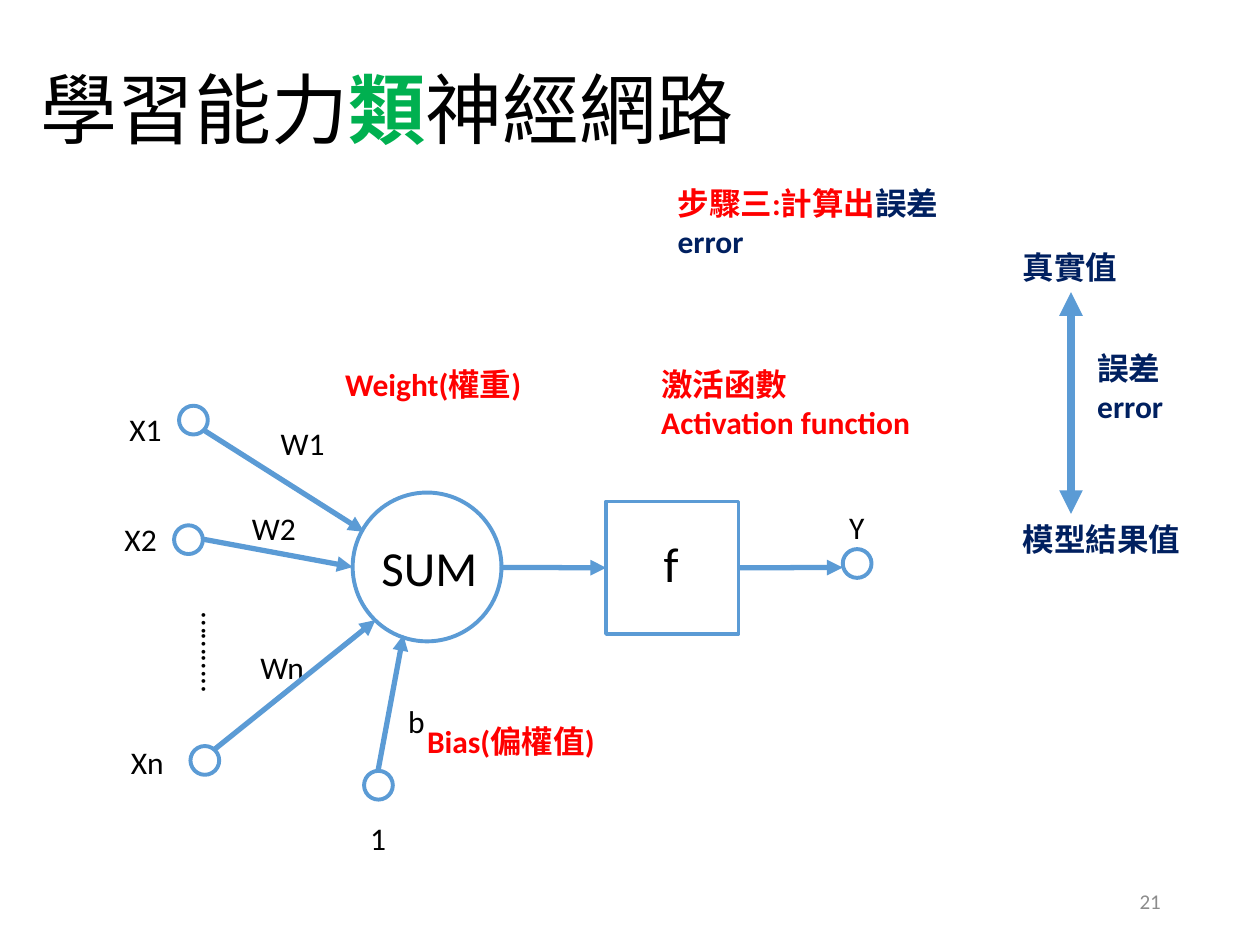
from lxml import etree
from pptx import Presentation
from pptx.dml.color import RGBColor
from pptx.enum.shapes import MSO_CONNECTOR, MSO_SHAPE
from pptx.enum.text import MSO_ANCHOR, MSO_AUTO_SIZE, PP_ALIGN
from pptx.oxml.ns import qn
from pptx.util import Cm, Pt

BLACK = RGBColor(0x00, 0x00, 0x00)
RED = RGBColor(0xFF, 0x00, 0x00)
NAVY = RGBColor(0x00, 0x20, 0x60)
GREEN = RGBColor(0x00, 0xB0, 0x50)
GREY = RGBColor(0x8C, 0x8C, 0x8C)
BLUE = RGBColor(0x5B, 0x9B, 0xD5)
FONT = "Calibri"
OVAL, RECT = MSO_SHAPE.OVAL, MSO_SHAPE.RECTANGLE
STRAIGHT = MSO_CONNECTOR.STRAIGHT
MIDDLE, RIGHT = MSO_ANCHOR.MIDDLE, PP_ALIGN.RIGHT
GROW = MSO_AUTO_SIZE.SHAPE_TO_FIT_TEXT
LEFT_SIDE, RIGHT_SIDE = 1, 3
LINE_H, TWO_LINES_H, LARGE_H = 1.02, 1.8, 1.45
NODE = 0.58


class Diagram:
    def __init__(self, slide):
        self.slide = slide

    def text(self, x, y, w, h, paragraphs, size=18, wrap=False, grow=True):
        """Add a text box; each paragraph is a list of (text, colour, bold) runs."""
        box = self.slide.shapes.add_textbox(Cm(x), Cm(y), Cm(w), Cm(h))
        tf = box.text_frame
        tf.word_wrap = wrap
        if grow:
            tf.auto_size = GROW
        for i, runs in enumerate(paragraphs):
            p = tf.add_paragraph() if i else tf.paragraphs[0]
            for text, color, bold in runs:
                r = p.add_run()
                r.text = text
                r.font.name = FONT
                r.font.size = Pt(size)
                r.font.bold = bold
                r.font.color.rgb = color
        return tf

    def label(self, x, y, w, text, size=18, h=LINE_H):
        return self.text(x, y, w, h, [[(text, BLACK, False)]], size)

    def note(self, x, y, w, lines, color, wrap=False):
        h = TWO_LINES_H if len(lines) > 1 else LINE_H
        return self.text(x, y, w, h, [[(line, color, True)] for line in lines], wrap=wrap)

    def outline(self, kind, x, y, side):
        sp = self.slide.shapes.add_shape(kind, Cm(x), Cm(y), Cm(side), Cm(side))
        sp.shadow.inherit = False
        sp.fill.background()
        sp.line.color.rgb = BLUE
        sp.line.width = Pt(2.25)
        return sp

    def arrow(self, x1, y1, x2, y2, width=3, both=False):
        line = self.slide.shapes.add_connector(STRAIGHT, Cm(x1), Cm(y1), Cm(x2), Cm(y2))
        line.line.color.rgb = BLUE
        line.line.width = Pt(width)
        ln = line.line._get_or_add_ln()
        for end in ("a:headEnd", "a:tailEnd") if both else ("a:tailEnd",):
            etree.SubElement(ln, qn(end)).set("type", "triangle")
        etree.SubElement(line._element.spPr, qn("a:effectLst"))
        return line


def main():
    prs = Presentation()
    prs.slide_width, prs.slide_height = Cm(25.4), Cm(19.05)
    d = Diagram(prs.slides.add_slide(prs.slide_layouts[6]))

    title = d.text(0.56, 0.99, 15.37, 2.59, [[
        ("學習能力", BLACK, False), ("類", GREEN, True), ("神經網路", BLACK, False),
    ]], size=44, wrap=True, grow=False)
    title.vertical_anchor = MIDDLE
    title.paragraphs[0].line_spacing = 0.9

    d.note(6.71, 7.24, 4.09, ["Weight(權重)"], RED, wrap=True)
    d.note(8.36, 14.43, 3.91, ["Bias(偏權值)"], RED, wrap=True)
    d.note(13.08, 7.24, 5.54, ["激活函數", "Activation function"], RED)
    d.note(20.37, 10.36, 3.71, ["模型結果值"], NAVY)
    d.note(20.37, 4.88, 2.44, ["真實值"], NAVY)
    d.arrow(21.59, 5.89, 21.59, 10.36, width=4.5, both=True)
    d.note(21.87, 6.91, 1.85, ["誤差", "error"], NAVY)
    d.text(13.41, 3.58, 5.82, TWO_LINES_H, [
        [("步驟三:計算出", RED, True), ("誤差", NAVY, True)],
        [("error", NAVY, True)],
    ], wrap=True)

    d.outline(OVAL, 7.11, 9.93, 3)
    d.label(7.44, 10.72, 2.46, "SUM", 28, LARGE_H)
    d.label(13.13, 10.64, 0.81, "f", 28, LARGE_H)
    for x, y, w, text in (
        (2.36, 8.15, 1.17, "X1"), (2.26, 10.36, 1.17, "X2"), (2.39, 14.86, 1.19, "Xn"),
        (5.41, 8.43, 1.4, "W1"), (4.83, 10.13, 1.4, "W2"), (5, 12.93, 1.4, "Wn"),
        (7.98, 14.02, 0.86, "b"), (16.87, 10.11, 0.81, "Y"), (7.21, 16.38, 0.84, "1"),
    ):
        d.label(x, y, w, text)
    dots = d.label(3.56, 12.09, 1.27, "………..", h=1.9)
    dots._txBody.bodyPr.set("vert", "eaVert")

    activation = d.outline(RECT, 12.22, 10.11, 2.67)
    for x, y in ((3.61, 8.18), (3.51, 10.59), (3.84, 15.04), (7.34, 15.54), (16.99, 11.07)):
        d.outline(OVAL, x, y, NODE)

    for ends in (
        (4.09, 8.66, 7.34, 10.72), (4.09, 10.87, 7.11, 11.43),
        (4.32, 15.11, 7.57, 12.5), (7.62, 15.54, 8.13, 12.8),
    ):
        d.arrow(*ends)
    d.arrow(10.13, 11.44, 12.22, 11.44).end_connect(activation, LEFT_SIDE)
    d.arrow(14.89, 11.44, 16.99, 11.44).begin_connect(activation, RIGHT_SIDE)

    number = d.text(17.93, 17.65, 5.72, LINE_H, [[("21", GREY, False)]],
                    size=12, wrap=True, grow=False)
    number.vertical_anchor = MIDDLE
    number.paragraphs[0].alignment = RIGHT

    prs.save("out.pptx")


if __name__ == "__main__":
    main()
